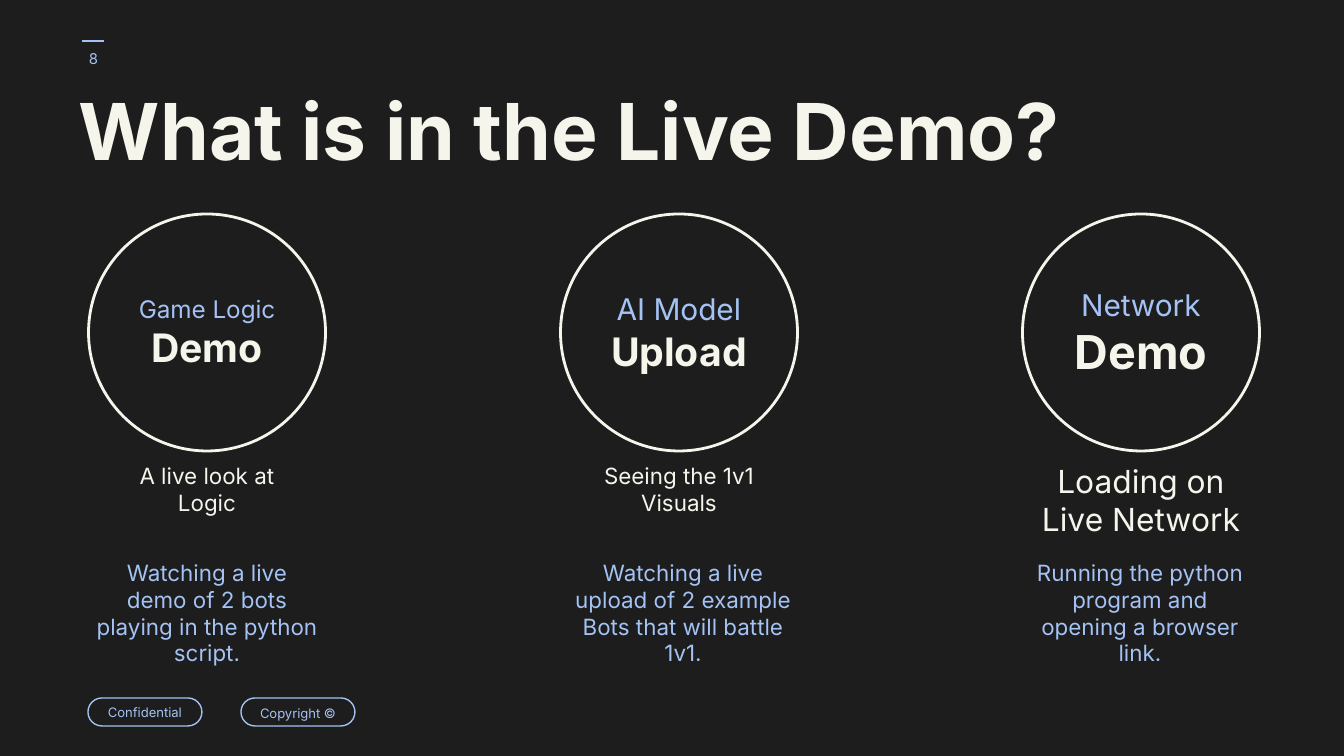
from dataclasses import dataclass

from pptx import Presentation
from pptx import util as u
from pptx.dml.color import RGBColor
from pptx.enum import shapes, text
from lxml import etree


@dataclass(frozen=True)
class Theme:
    font: str = "Inter"
    ground: str = "1D1D1D"
    cream: str = "F6F5EC"
    blue: str = "A4C2F4"
    title: int = 42
    name: int = 21
    body: int = 12
    number: int = 8
    pill: int = 7


THEME = Theme()
TITLE = "What is in the Live Demo?"
PAGE_NUMBER = "8"
PILLS = [("Confidential", 1.0), ("Copyright ©", 1.15)]
DEMOS = [
    dict(center=207, body_center=207, caption_width=215,
         topic="Game Logic", topic_size=13, name="Demo", name_size=THEME.name,
         caption="A live look at Logic", caption_size=THEME.body,
         body="Watching a live demo of 2 bots playing in the python script."),
    dict(center=679, body_center=683, caption_width=215,
         topic="AI Model", topic_size=16, name="Upload", name_size=THEME.name,
         caption="Seeing the 1v1 Visuals", caption_size=THEME.body,
         body="Watching a live upload of 2 example Bots that will battle 1v1."),
    dict(center=1141, body_center=1140, caption_width=237,
         topic="Network", topic_size=16, name="Demo", name_size=25,
         caption="Loading on Live Network", caption_size=17,
         body="Running the python program and opening a browser link."),
]

CIRCLE_TOP, CIRCLE_SIZE = 214, 237
CAPTION_TOP, CAPTION_HEIGHT = 449, 98
BODY_TOP, BODY_WIDTH, BODY_HEIGHT = 546, 250, 129
PILL_LEFT, PILL_TOP, PILL_WIDTH, PILL_HEIGHT, PILL_STEP = 88, 698, 114, 28, 153
INSET = 13


def px(*lengths):
    return [round(length * 914400 / 134.4) for length in lengths]


def set_frame(shape, anchor):
    frame = shape.text_frame
    frame.word_wrap = True
    frame.auto_size = text.MSO_AUTO_SIZE.NONE
    frame.vertical_anchor = anchor
    frame.margin_left, frame.margin_top, frame.margin_right, frame.margin_bottom = px(*[INSET] * 4)
    return frame


def write(shape, lines, anchor=text.MSO_ANCHOR.TOP, align=text.PP_ALIGN.CENTER, spacing=1.0):
    para = set_frame(shape, anchor).paragraphs[0]
    para.alignment = align
    para.line_spacing = spacing
    for index, (words, size, color, bold) in enumerate(lines):
        if index:
            para.add_line_break()
        span = para.add_run()
        span.text = words
        span.font.name = THEME.font
        span.font.size = u.Pt(size)
        span.font.bold = bold
        span.font.color.rgb = RGBColor.from_string(color)


def add_text(page, place, words, size, color, anchor=text.MSO_ANCHOR.TOP):
    box = page.shapes.add_textbox(*px(*place))
    write(box, [(words, size, color, False)], anchor)


def add_outline(page, place, color, weight, lines, spacing=1.0):
    shape = page.shapes.add_shape(shapes.MSO_SHAPE.ROUNDED_RECTANGLE, *px(*place))
    shape.adjustments[0] = 0.5
    shape.shadow.inherit = False
    shape.fill.background()
    shape.line.color.rgb = RGBColor.from_string(color)
    shape.line.width = u.Pt(weight)
    write(shape, lines, text.MSO_ANCHOR.MIDDLE, spacing=spacing)


def add_header(page):
    title = page.shapes.title
    title.left, title.top, title.width, title.height = px(66, 87, 1082, 122)
    write(title, [(TITLE, THEME.title, THEME.cream, True)], align=text.PP_ALIGN.LEFT, spacing=0.8)
    add_text(page, (62, 30, 63, 58), PAGE_NUMBER, THEME.number, THEME.blue, text.MSO_ANCHOR.MIDDLE)
    rule = page.shapes.add_connector(shapes.MSO_CONNECTOR.STRAIGHT, *px(104, 41, 82, 41))
    rule.line.color.rgb = RGBColor.from_string(THEME.blue)
    rule.line.width = u.Pt(0.75)
    etree.SubElement(rule.element.spPr,
                     "{http://schemas.openxmlformats.org/drawingml/2006/main}effectLst")


def add_demo(page, demo):
    center = demo["center"]
    add_outline(page, (center - CIRCLE_SIZE / 2, CIRCLE_TOP, CIRCLE_SIZE, CIRCLE_SIZE),
                THEME.cream, 1.5,
                [(demo["topic"], demo["topic_size"], THEME.blue, False),
                 (demo["name"], demo["name_size"], THEME.cream, True)])
    width = demo["caption_width"]
    add_text(page, (center - width / 2, CAPTION_TOP, width, CAPTION_HEIGHT),
             demo["caption"], demo["caption_size"], THEME.cream)
    add_text(page, (demo["body_center"] - BODY_WIDTH / 2, BODY_TOP, BODY_WIDTH, BODY_HEIGHT),
             demo["body"], THEME.body, THEME.blue)


def main():
    deck = Presentation()
    deck.slide_width, deck.slide_height = px(1344, 756)
    page = deck.slides.add_slide(deck.slide_layouts[5])
    page.background.fill.solid()
    page.background.fill.fore_color.rgb = RGBColor.from_string(THEME.ground)
    add_header(page)
    for demo in DEMOS:
        add_demo(page, demo)
    for index, (label, spacing) in enumerate(PILLS):
        add_outline(page, (PILL_LEFT + index * PILL_STEP, PILL_TOP, PILL_WIDTH, PILL_HEIGHT),
                    THEME.blue, 0.75, [(label, THEME.pill, THEME.blue, False)], spacing)
    deck.save("out.pptx")


if __name__ == "__main__":
    main()
